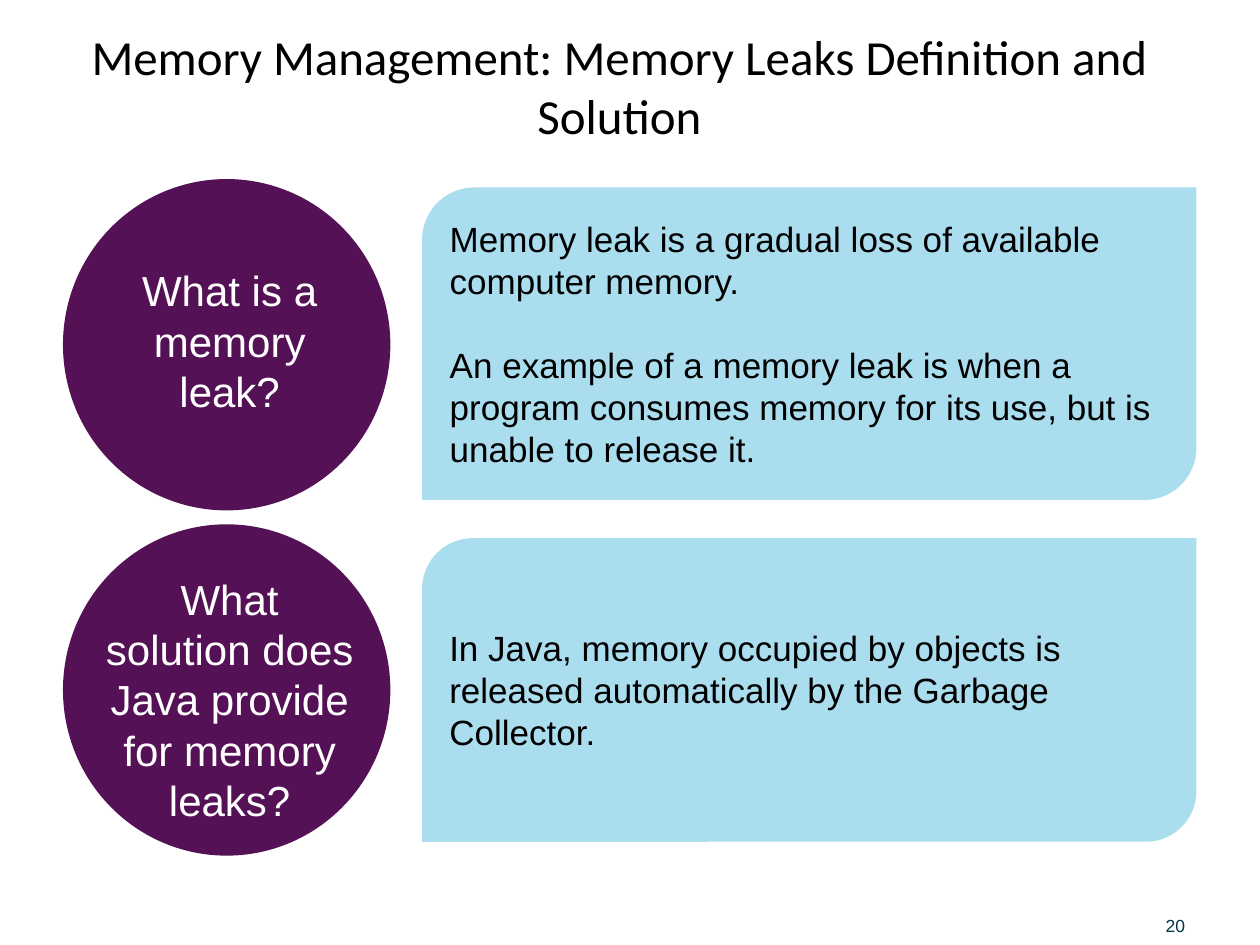
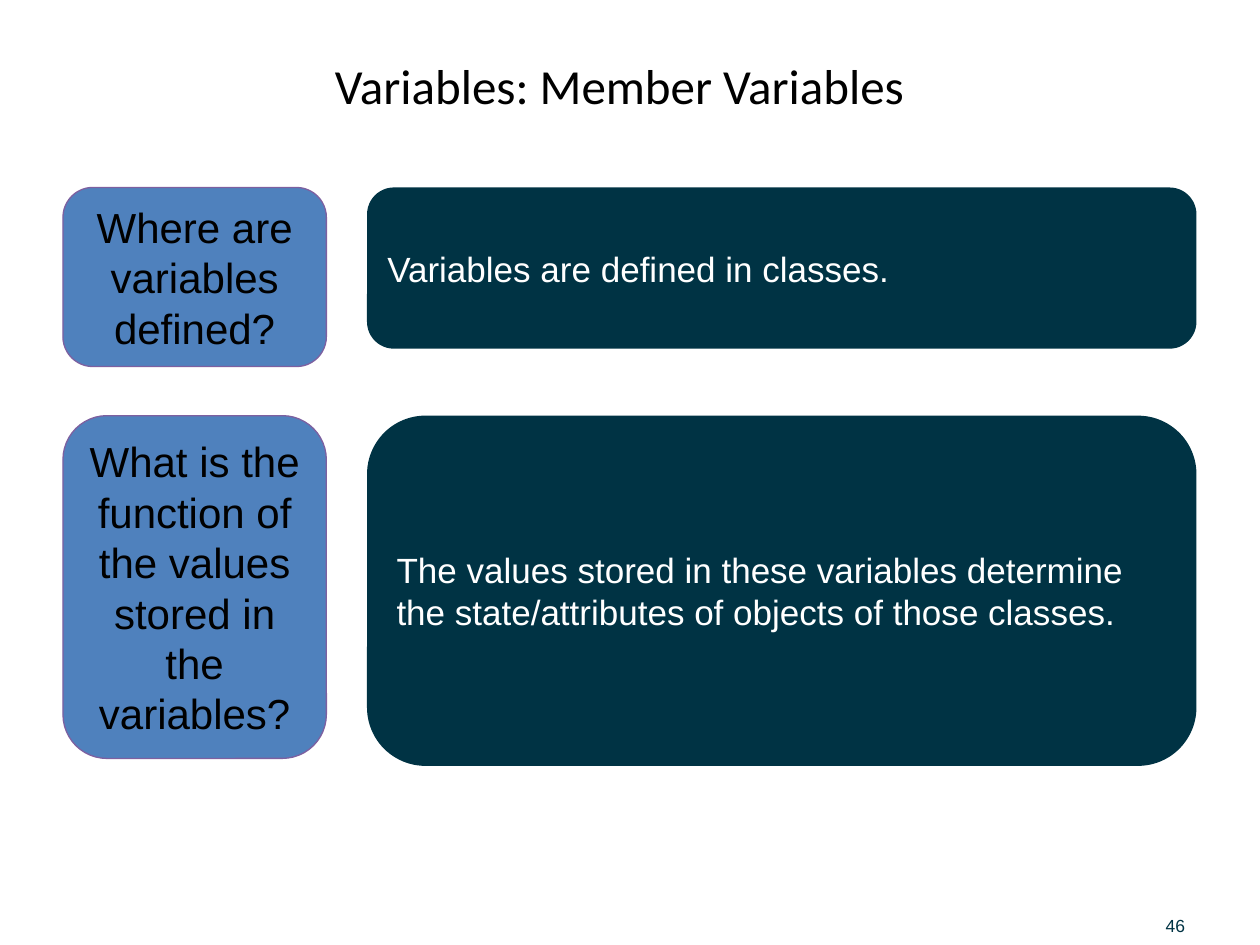
from pptx import Presentation
from pptx.dml.color import RGBColor
from pptx.enum.shapes import MSO_SHAPE as SHAPE
from pptx.enum.text import MSO_ANCHOR as ANCHOR, PP_ALIGN as ALIGN
from pptx.util import Cm, Pt

BLACK = RGBColor(0x00, 0x00, 0x00)
WHITE = RGBColor(0xFF, 0xFF, 0xFF)
PURPLE = RGBColor(0x55, 0x11, 0x55)
SKY = RGBColor(0xAA, 0xDD, 0xEE)
NAVY = RGBColor(0x00, 0x33, 0x44)
BLUE = RGBColor(0x4F, 0x81, 0xBD)
VIOLET = RGBColor(0x7D, 0x60, 0xA0)

LEFT = Cm(1.27)
RIGHT = Cm(24.12)
TOP = Cm(3.78)
QUESTION_SIZE = 24
ANSWER_SIZE = 20


def write(shape, lines, size, color, align=ALIGN.LEFT, anchor=ANCHOR.MIDDLE, font="Arial"):
    tf = shape.text_frame
    tf.word_wrap = True
    tf.vertical_anchor = anchor
    tf.text = "\n".join(lines)
    for i, p in enumerate(tf.paragraphs):
        p.alignment = align
        if i:
            p.space_before = Pt(size * 1.2)
        for r in p.runs:
            r.font.name = font
            r.font.size = Pt(size)
            r.font.color.rgb = color
    return tf


def add_panel(s, kind, left, top, width, height, fill, line=None):
    sp = s.shapes.add_shape(kind, left, top, width, height)
    sp.shadow.inherit = False
    sp.fill.solid()
    sp.fill.fore_color.rgb = fill
    if line is None:
        sp.line.fill.background()
    else:
        sp.line.color.rgb = line
        sp.line.width = Pt(0.75)
    return sp


def add_page(prs, title, number):
    s = prs.slides.add_slide(prs.slide_layouts[5])
    sp = s.shapes.title
    sp.left, sp.top, sp.width, sp.height = LEFT, Cm(0.51), Cm(22.43), Cm(2.41)
    write(sp, [title], 28, BLACK, ALIGN.CENTER, font="Calibri")
    box = s.shapes.add_textbox(Cm(23.5), Cm(18.16), Cm(1.75), Cm(0.71))
    tf = write(box, [str(number)], 10, NAVY, anchor=ANCHOR.BOTTOM)
    tf.margin_left = tf.margin_top = tf.margin_right = tf.margin_bottom = 0
    return s


def add_circle_row(s, circle_top, text_top, text_height, question, top, height, answer):
    left = Cm(8.51)
    add_panel(s, SHAPE.OVAL, LEFT, circle_top, Cm(6.6), Cm(6.68), PURPLE)
    sp = add_panel(s, SHAPE.ROUND_2_DIAG_RECTANGLE, left, top, RIGHT - left, height, SKY)
    write(sp, answer, ANSWER_SIZE, BLACK)
    box = s.shapes.add_textbox(Cm(1.85), text_top, Cm(5.56), text_height)
    write(box, [question], QUESTION_SIZE, WHITE, ALIGN.CENTER, ANCHOR.TOP)


def add_box_row(s, top, question_height, question, answer_height, answer):
    left = Cm(7.4)
    sp = add_panel(s, SHAPE.ROUNDED_RECTANGLE, left, top, RIGHT - left, answer_height, NAVY)
    write(sp, [answer], ANSWER_SIZE, WHITE)
    sp = add_panel(s, SHAPE.ROUNDED_RECTANGLE, LEFT, top, Cm(5.31), question_height, BLUE, VIOLET)
    write(sp, [question], QUESTION_SIZE, BLACK, ALIGN.CENTER)


def main():
    prs = Presentation()
    prs.slide_width, prs.slide_height = Cm(25.4), Cm(19.05)

    s = add_page(prs, "Memory Management: Memory Leaks Definition and Solution", 20)
    add_circle_row(s, Cm(3.61), Cm(5.21), Cm(3.33), "What is a memory leak?",
                   TOP, Cm(6.3),
                   ["Memory leak is a gradual loss of available computer memory.",
                    "An example of a memory leak is when a program consumes memory "
                    "for its use, but is unable to release it."])
    add_circle_row(s, Cm(10.57), Cm(11.43), Cm(5.38),
                   "What solution does Java provide for memory leaks?",
                   Cm(10.85), Cm(6.12),
                   ["In Java, memory occupied by objects is released automatically "
                    "by the Garbage Collector."])

    s = add_page(prs, "Variables: Member Variables", 46)
    add_box_row(s, TOP, Cm(3.61), "Where are variables defined?",
                Cm(3.25), "Variables are defined in classes.")
    add_box_row(s, Cm(8.38), Cm(6.91),
                "What is the function of the values stored in the variables?",
                Cm(7.06),
                "The values stored in these variables determine the "
                "state/attributes of objects of those classes.")

    prs.save("out.pptx")


if __name__ == "__main__":
    main()
